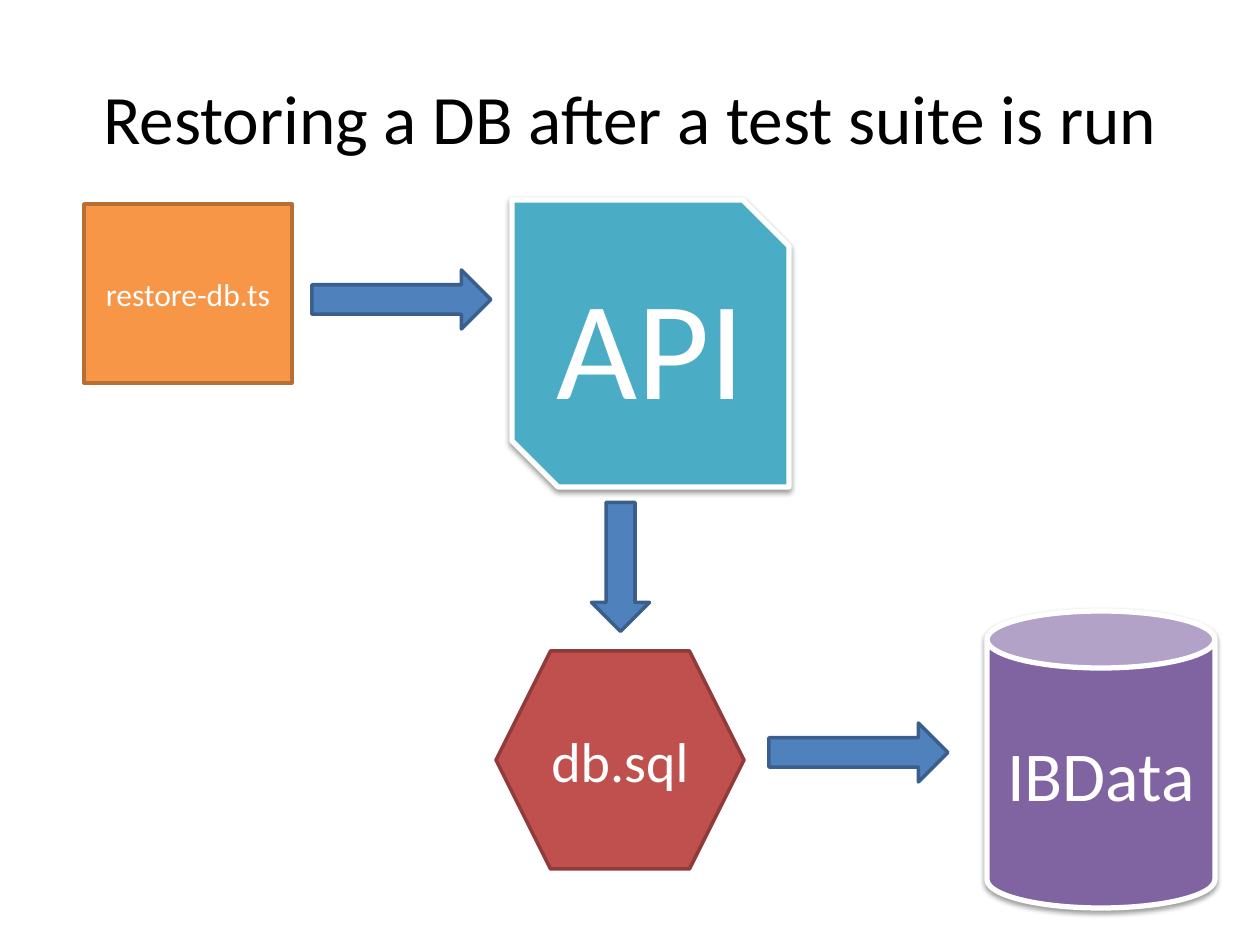
"""Build a slide that shows how a database is restored after a test suite."""
from lxml.etree import SubElement
from pptx import Presentation
from pptx.dml.color import RGBColor
from pptx.enum.shapes import MSO_SHAPE
from pptx.enum.text import MSO_ANCHOR, PP_ALIGN
from pptx.oxml.ns import qn
from pptx.util import Pt

PX = 914400 // 126
FONT = "Calibri"
TITLE = "Restoring a DB after a test suite is run"
TITLE_BOX = (63, 38, 1134, 157)
ARROW = ("4F81BD", "3A5F8C")

NODES = [
    ("restore-db.ts", MSO_SHAPE.RECTANGLE, (84, 204, 208, 179), "F79646", "B76F34", 18),
    ("API", MSO_SHAPE.SNIP_2_DIAG_RECTANGLE, (512, 200, 277, 287), "4BACC6", "FFFFFF", 80),
    ("IBData", MSO_SHAPE.CAN, (987, 611, 228, 297), "8064A2", "FFFFFF", 40),
    ("db.sql", MSO_SHAPE.HEXAGON, (496, 651, 248, 218), "C0504D", "8E3B39", 32),
]
ARROWS = [
    ((312, 270, 179, 59), 0),
    ((556, 538, 129, 58), 90),
    ((769, 723, 179, 59), 0),
]


def color(value):
    return RGBColor.from_string(value)


def scale(box):
    return [n * PX for n in box]


def write(shape, text, size, ink):
    frame = shape.text_frame
    frame.text = text
    frame.word_wrap = True
    frame.vertical_anchor = MSO_ANCHOR.MIDDLE
    para = frame.paragraphs[0]
    para.alignment = PP_ALIGN.CENTER
    font = para.runs[0].font
    font.name, font.size = FONT, Pt(size)
    font.color.rgb = color(ink)


def draw(slide, kind, box, fill, line, width=2):
    shape = slide.shapes.add_shape(kind, *scale(box))
    shape.fill.solid()
    shape.fill.fore_color.rgb = color(fill)
    shape.line.color.rgb = color(line)
    shape.line.width = Pt(width)
    shape.shadow.inherit = False
    return shape


def shade(shape):
    effects = shape._element.spPr.find(qn("a:effectLst"))
    shadow = SubElement(effects, qn("a:outerShdw"), blurRad=str(Pt(3.1)),
                        dist=str(Pt(1.6)), dir="5400000", rotWithShape="0")
    black = SubElement(shadow, qn("a:srgbClr"), val="000000")
    SubElement(black, qn("a:alpha"), val="38000")


def main():
    deck = Presentation()
    deck.slide_width, deck.slide_height = scale((1260, 945))
    slide = deck.slides.add_slide(deck.slide_layouts[5])
    title = slide.shapes.title
    title.left, title.top, title.width, title.height = scale(TITLE_BOX)
    write(title, TITLE, 39.6, "000000")
    for text, kind, box, fill, line, size in NODES:
        raised = line == "FFFFFF"
        node = draw(slide, kind, box, fill, line, 3 if raised else 2)
        write(node, text, size, "FFFFFF")
        if raised:
            shade(node)
    for box, turn in ARROWS:
        draw(slide, MSO_SHAPE.RIGHT_ARROW, box, *ARROW).rotation = turn
    deck.save("out.pptx")


if __name__ == "__main__":
    main()
